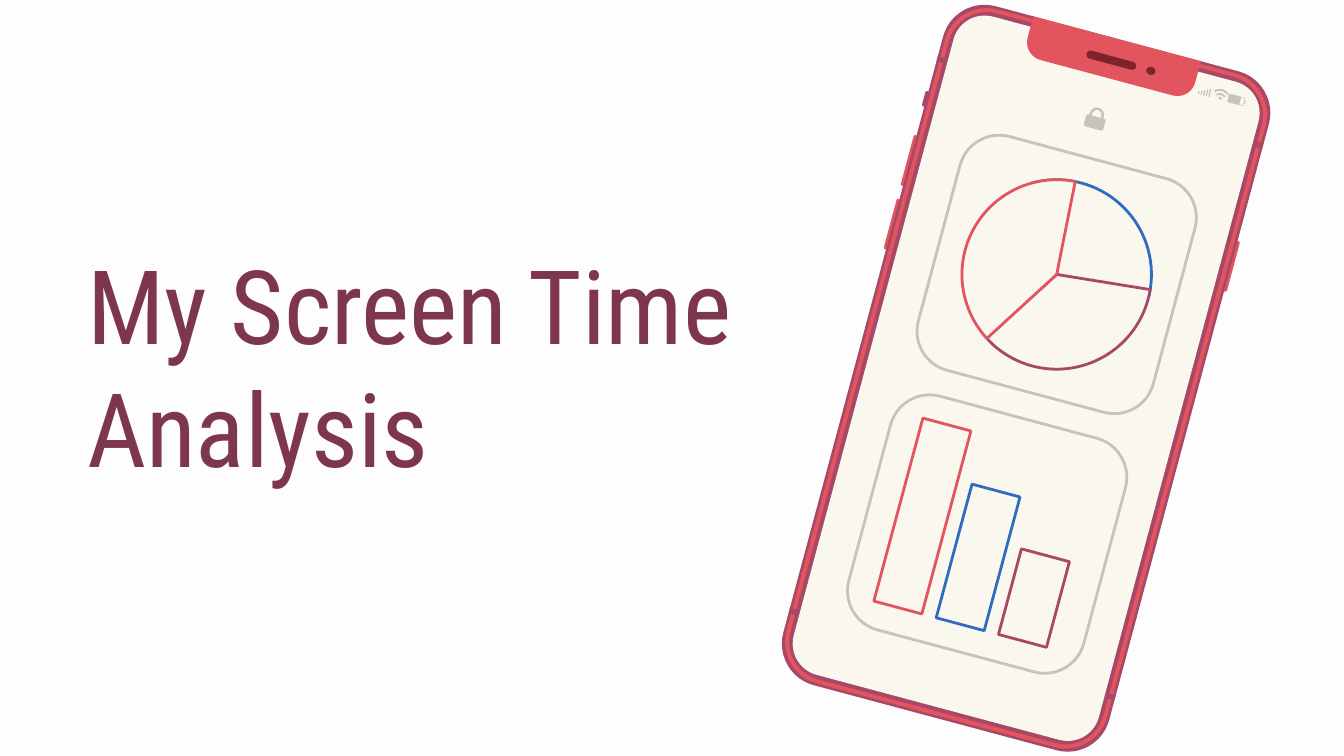
import math
from dataclasses import dataclass

import pptx
import pptx.dml.color
import pptx.enum.shapes
import pptx.enum.text
import pptx.util

Inches, Pt = pptx.util.Inches, pptx.util.Pt
RGBColor = pptx.dml.color.RGBColor
SHAPE = pptx.enum.shapes.MSO_SHAPE

PAPER = RGBColor(0xFD, 0xFD, 0xFD)
TITLE = RGBColor(0x7D, 0x36, 0x4E)
PLUM = RGBColor(0xA7, 0x48, 0x68)
RED = RGBColor(0xE2, 0x55, 0x5F)
DARK_RED = RGBColor(0x7C, 0x24, 0x2A)
BLUE = RGBColor(0x2F, 0x6C, 0xC0)
CREAM = RGBColor(0xFA, 0xF7, 0xEF)
GREY = RGBColor(0xC7, 0xC3, 0xB8)


@dataclass
class Phone:
    """Upright phone box, turned about its centre; parts are placed inside it."""
    slide: object
    left: float
    top: float
    width: float
    height: float
    tilt: float

    def place(self, kind, x, y, width, height, fill=None, line=None,
              weight=1.5, adjustments=()):
        angle = math.radians(self.tilt)
        dx = x + width / 2 - self.width / 2
        dy = y + height / 2 - self.height / 2
        centre_x = self.left + self.width / 2 + dx * math.cos(angle) - dy * math.sin(angle)
        centre_y = self.top + self.height / 2 + dx * math.sin(angle) + dy * math.cos(angle)
        part = self.slide.shapes.add_shape(
            kind, Inches(centre_x - width / 2), Inches(centre_y - height / 2),
            Inches(width), Inches(height))
        part.rotation = self.tilt
        part.shadow.inherit = False
        for index, value in enumerate(adjustments):
            part.adjustments[index] = value
        if fill is None:
            part.fill.background()
        else:
            part.fill.solid()
            part.fill.fore_color.rgb = fill
        if line is None:
            part.line.fill.background()
        else:
            part.line.color.rgb = line
            part.line.width = Pt(weight)

    def wedge(self, x, y, radius, start, end, fill, line=None):
        """Pie slice around (x, y), with angles in degrees."""
        self.place(SHAPE.PIE, x - radius, y - radius, 2 * radius, 2 * radius,
                   fill, line, adjustments=(start * 0.6, end * 0.6))


def add_title(slide, left, top, width, height):
    box = slide.shapes.add_textbox(Inches(left), Inches(top), Inches(width), Inches(height))
    frame = box.text_frame
    frame.word_wrap = True
    frame.vertical_anchor = pptx.enum.text.MSO_ANCHOR.MIDDLE
    frame.margin_left = frame.margin_right = Inches(0.1)
    frame.margin_top = frame.margin_bottom = Inches(0.1)
    frame.text = "My Screen Time Analysis"
    font = frame.paragraphs[0].runs[0].font
    font.name = "Roboto Condensed"
    font.size = Pt(55)
    font.color.rgb = TITLE


def add_case(phone):
    # Side buttons
    for x, y, height, colour in ((-0.02, 0.74, 0.12, PLUM), (-0.02, 1.08, 0.39, RED),
                                 (-0.02, 1.57, 0.39, RED), (2.5, 1.22, 0.39, RED)):
        phone.place(SHAPE.ROUNDED_RECTANGLE, x, y, 0.03, height, colour,
                    adjustments=(0.5,))
    # Nested frame bands and screen
    for inset, radius, colour in ((0, 0.32, PLUM), (0.02, 0.32, RED),
                                  (0.05, 0.29, PLUM), (0.08, 0.24, CREAM)):
        width = phone.width - 2 * inset
        phone.place(SHAPE.ROUNDED_RECTANGLE, inset, inset, width,
                    phone.height - 2 * inset, colour, adjustments=(radius / width,))
    # Antenna marks
    for x in (0, phone.width - 0.07):
        for y in (0.47, 4.72):
            phone.place(SHAPE.RECTANGLE, x, y, 0.07, 0.04, PLUM)
    # Notch with speaker and camera
    phone.place(SHAPE.ROUND_2_SAME_RECTANGLE, 0.61, 0, 1.29, 0.3, RED,
                adjustments=(0, 0.45))
    phone.place(SHAPE.ROUNDED_RECTANGLE, 1.07, 0.14, 0.37, 0.05, DARK_RED, DARK_RED,
                0.75, (0.5,))
    phone.place(SHAPE.OVAL, 1.53, 0.14, 0.06, 0.05, DARK_RED, DARK_RED, 0.75)


def add_lock(phone, x, y):
    phone.place(SHAPE.ROUND_2_SAME_RECTANGLE, x + 0.02, y, 0.11, 0.13, GREY,
                adjustments=(0.5, 0))
    phone.place(SHAPE.ROUND_2_SAME_RECTANGLE, x + 0.04, y + 0.02, 0.07, 0.1, CREAM,
                adjustments=(0.5, 0))
    phone.place(SHAPE.ROUNDED_RECTANGLE, x, y + 0.07, 0.15, 0.09, GREY)


def add_status_icons(phone, x, y):
    # Signal strength
    for step in range(5):
        height = 0.02 + 0.01 * step
        phone.place(SHAPE.RECTANGLE, x + 0.02 * step, y + 0.06 - height,
                    0.01, height, GREY)
    # Wireless arcs
    for ring in range(5):
        phone.wedge(x + 0.17, y + 0.06, 0.08 - 0.015 * ring, 225, 315,
                    CREAM if ring % 2 else GREY)
    # Battery
    phone.place(SHAPE.ROUNDED_RECTANGLE, x + 0.23, y, 0.12, 0.06, None, GREY, 0.25)
    phone.place(SHAPE.RECTANGLE, x + 0.23, y, 0.09, 0.06, GREY)
    phone.place(SHAPE.RECTANGLE, x + 0.35, y + 0.02, 0.01, 0.02, GREY)


def add_card(phone, x, y, width, height):
    phone.place(SHAPE.ROUNDED_RECTANGLE, x, y, width, height, None, GREY,
                adjustments=(0.167,))


def add_pie_card(phone, x, y, width, height):
    add_card(phone, x, y, width, height)
    for start, end, colour in ((239.7, 357.7, BLUE), (354.2, 123, PLUM),
                               (122.5, 266.3, RED)):
        phone.wedge(x + width / 2, y + height / 2, 0.705, start, end, CREAM, colour)


def add_bar_card(phone, x, y, width, height):
    add_card(phone, x, y, width, height)
    for index, (bar, colour) in enumerate(((1.41, RED), (1.03, BLUE), (0.66, PLUM))):
        phone.place(SHAPE.RECTANGLE, x + 0.22 + 0.48 * index, y + 1.6 - bar,
                    0.37, bar, None, colour)


def add_phone(slide, left, top, width, height):
    phone = Phone(slide, left, top, width, height, tilt=15)
    add_case(phone)
    add_lock(phone, 1.18, 0.53)
    add_status_icons(phone, 1.94, 0.18)
    add_pie_card(phone, 0.37, 0.91, 1.81, 1.8)
    add_bar_card(phone, 0.37, 2.91, 1.81, 1.8)


def main():
    deck = pptx.Presentation()
    deck.slide_width = Inches(10)
    deck.slide_height = deck.slide_width * 9 // 16
    slide = deck.slides.add_slide(deck.slide_layouts[6])
    slide.background.fill.solid()
    slide.background.fill.fore_color.rgb = PAPER
    add_title(slide, 0.55, 1.68, 5.69, 2.07)
    add_phone(slide, 6.38, 0.2, 2.51, 5.23)
    deck.save("out.pptx")


if __name__ == "__main__":
    main()
